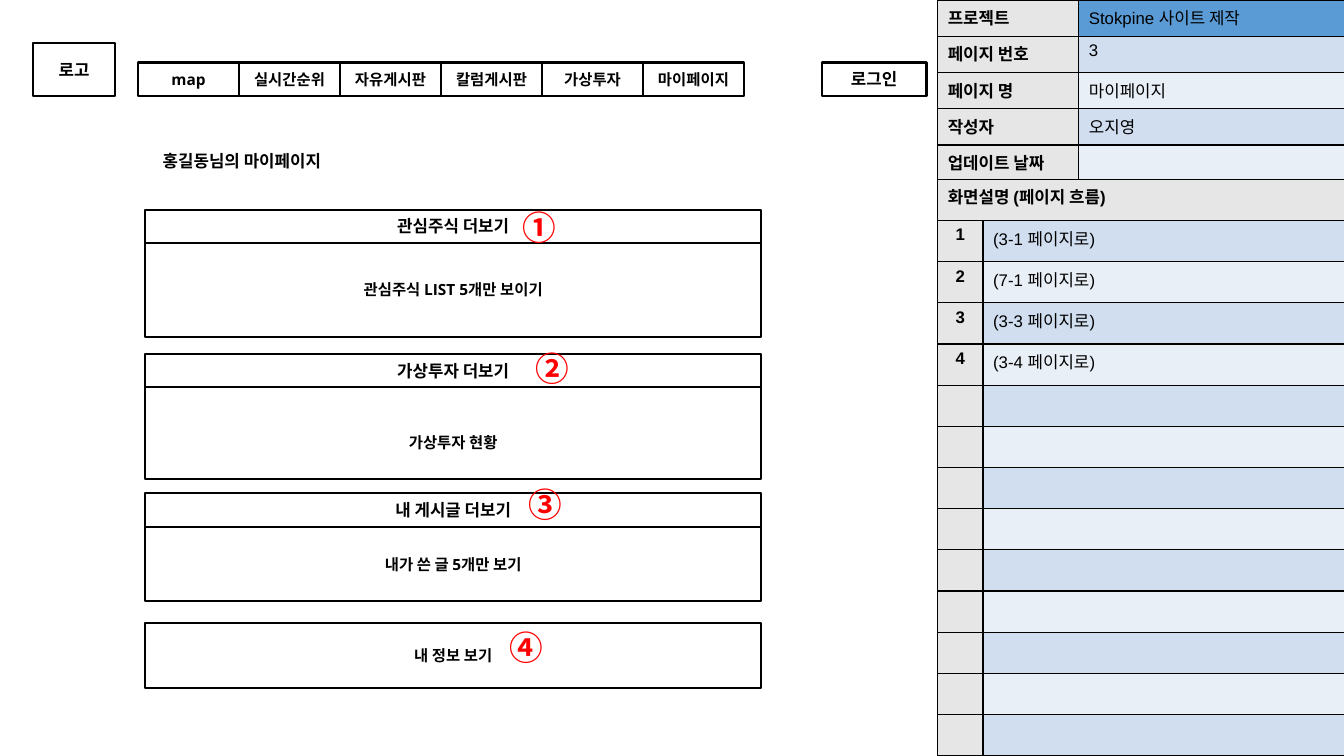
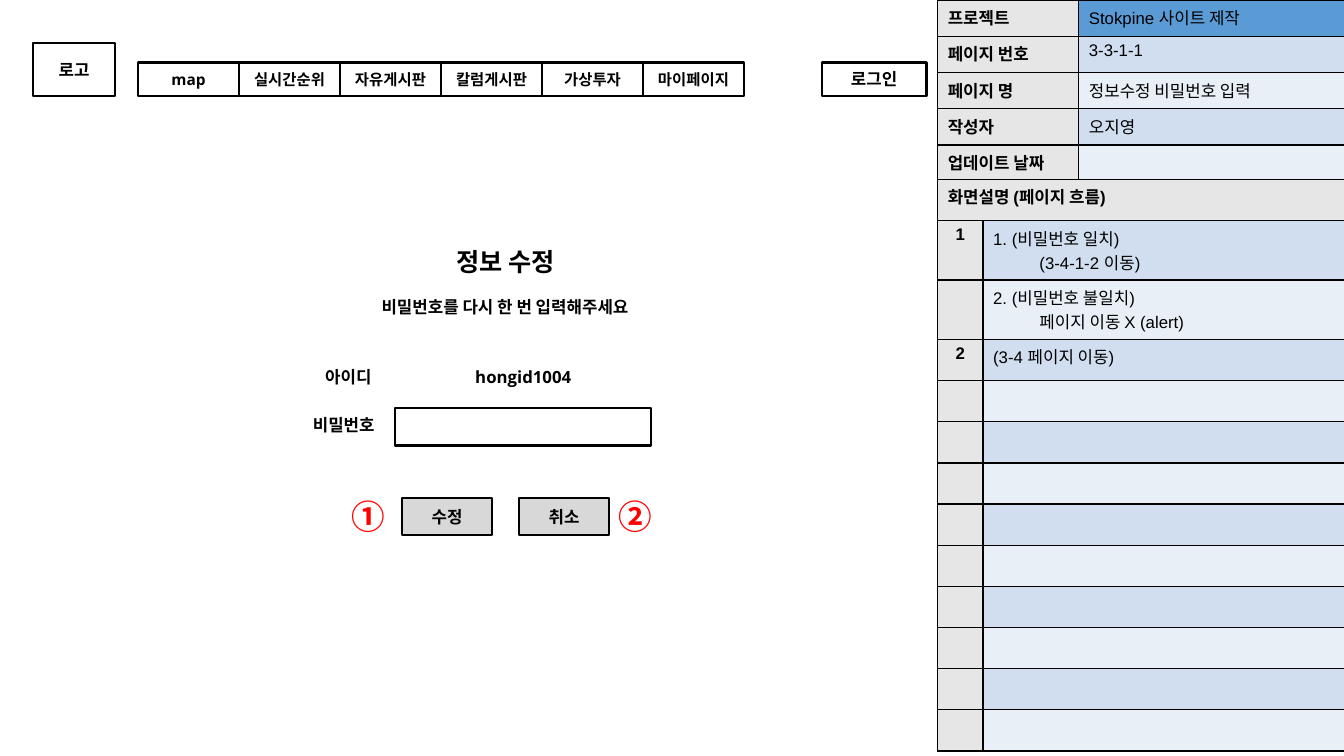
from lxml.etree import SubElement
from pptx import Presentation
from pptx.dml.color import RGBColor
from pptx.enum.shapes import MSO_SHAPE
from pptx.enum.text import MSO_ANCHOR, MSO_AUTO_SIZE, PP_ALIGN
from pptx.oxml.ns import qn
from pptx.util import Inches, Pt

COLORS = {
    "ink": "000000",
    "marker": "FF0000",
    "button": "D8D8D8",
    "label": "E7E6E6",
    "project": "5B9BD5",
    "band_dark": "D0DEEF",
    "band_light": "E9EFF7",
}
WIREFRAME_FONT = "Open Sans"
TABLE_FONT = "Arial"
KOREAN_FONT = "Noto Sans CJK KR"

MENU = ["map", "실시간순위", "자유게시판", "칼럼게시판", "가상투자", "마이페이지"]
MENU_LEFT, MENU_TOP, MENU_WIDTH, MENU_HEIGHT = 1.37, 0.62, 6.01, 0.33

PANEL_LEFT = 9.3
INFO_COLUMNS = (1.4, 2.64)
INFO_ROW_HEIGHT = 0.36
FLOW_TOP = 1.78
FLOW_COLUMNS = (0.45, 3.59)
FLOW_ROW_HEIGHT = 5.72 / 14
FLOW_TWO_LINE_HEIGHT = 0.59
DETAIL_INDENT = 0.46

SECTION_LEFT, SECTION_WIDTH = 1.44, 6.11


def rgb(name):
    return RGBColor.from_string(COLORS[name])


def style_paragraph(paragraph, size, font=WIREFRAME_FONT, color="ink", bold=True,
                    align=PP_ALIGN.LEFT):
    paragraph.alignment = align
    for run in paragraph.runs:
        run.font.size = Pt(size)
        run.font.name = font
        run.font.bold = bold
        run.font.color.rgb = rgb(color)
        SubElement(run.font._element, qn("a:ea"), typeface=KOREAN_FONT)


def fill_text(shape, text, size=12, top_inset=0.1):
    """Centre one bold line of text in a shape, with even insets."""
    frame = shape.text_frame
    frame.text = text
    frame.word_wrap = True
    frame.auto_size = MSO_AUTO_SIZE.NONE
    frame.vertical_anchor = MSO_ANCHOR.MIDDLE
    frame.margin_left = frame.margin_right = frame.margin_bottom = Inches(0.1)
    frame.margin_top = Inches(top_inset)
    style_paragraph(frame.paragraphs[0], size, align=PP_ALIGN.CENTER)


def add_box(slide, left, top, width, height, text="", size=12, fill=None, top_inset=0.1):
    box = slide.shapes.add_shape(MSO_SHAPE.RECTANGLE, Inches(left), Inches(top),
                                 Inches(width), Inches(height))
    box.shadow.inherit = False
    if fill:
        box.fill.solid()
        box.fill.fore_color.rgb = rgb(fill)
    else:
        box.fill.background()
    box.line.color.rgb = rgb("ink")
    box.line.width = Pt(1.5)
    if text:
        fill_text(box, text, size, top_inset)


def add_label(slide, left, top, width, text):
    label = slide.shapes.add_textbox(Inches(left), Inches(top), Inches(width), Inches(0.37))
    fill_text(label, text)


def add_marker(slide, left, top, symbol):
    marker = slide.shapes.add_textbox(Inches(left), Inches(top), Inches(0.6), Inches(0.5))
    frame = marker.text_frame
    frame.word_wrap = True
    frame.text = symbol
    style_paragraph(frame.paragraphs[0], 24, font=KOREAN_FONT, color="marker")


def set_title(slide, left, top, width, text, size):
    title = slide.shapes.title
    title.left, title.top = Inches(left), Inches(top)
    title.width, title.height = Inches(width), Inches(0.37)
    fill_text(title, text, size)


def add_section(slide, top, heading_height, body_height, heading, body, top_inset=0.1):
    add_box(slide, SECTION_LEFT, top, SECTION_WIDTH, heading_height, heading)
    add_box(slide, SECTION_LEFT, top + heading_height, SECTION_WIDTH, body_height, body,
            size=11, top_inset=top_inset)


def add_borders(cell):
    properties = cell._tc.get_or_add_tcPr()
    for side in ("lnL", "lnR", "lnT", "lnB"):
        line = SubElement(properties, qn(f"a:{side}"), w=str(Pt(1)))
        solid = SubElement(line, qn("a:solidFill"))
        SubElement(solid, qn("a:srgbClr"), val=COLORS["ink"])


def format_cell(cell, text, fill, bold, align=PP_ALIGN.LEFT):
    """Fill a cell; lines after the first are indented details."""
    add_borders(cell)
    cell.fill.solid()
    cell.fill.fore_color.rgb = rgb(fill)
    cell.text_frame.text = text
    for index, paragraph in enumerate(cell.text_frame.paragraphs):
        style_paragraph(paragraph, 12, TABLE_FONT, bold=bold, align=align)
        if index:
            paragraph._p.get_or_add_pPr().set("marL", str(Inches(DETAIL_INDENT)))
        if not paragraph.runs:
            paragraph._p.get_or_add_endParaRPr().set("sz", "1200")


def add_panel_table(slide, top, columns, heights, rows, first_fill,
                    label_align=PP_ALIGN.LEFT):
    """Add a label and value table whose values are banded below the first row."""
    frame = slide.shapes.add_table(len(rows), len(columns), Inches(PANEL_LEFT), Inches(top),
                                   Inches(sum(columns)), Inches(sum(heights)))
    table = frame.table
    table.first_row = table.horz_banding = False
    for column, width in zip(table.columns, columns):
        column.width = Inches(width)
    for index, (height, (label, value)) in enumerate(zip(heights, rows)):
        table.rows[index].height = Inches(height)
        band = "band_dark" if index % 2 else "band_light"
        align = label_align if index else PP_ALIGN.LEFT
        format_cell(table.cell(index, 0), label, "label", True, align)
        format_cell(table.cell(index, 1), value, band if index else first_fill, False)
    return table


def add_info_table(slide, page_number, page_name):
    rows = [
        ("프로젝트", "Stokpine 사이트 제작"),
        ("페이지 번호", page_number),
        ("페이지 명", page_name),
        ("작성자", "오지영"),
        ("업데이트 날짜", ""),
    ]
    add_panel_table(slide, 0, INFO_COLUMNS, [INFO_ROW_HEIGHT] * len(rows), rows, "project")


def add_flow_table(slide, steps, row_count):
    rows = [("화면설명 (페이지 흐름)", "")] + steps
    rows += [("", "")] * (row_count - len(rows))
    heights = [FLOW_TWO_LINE_HEIGHT if "\n" in value else FLOW_ROW_HEIGHT
               for _, value in rows]
    table = add_panel_table(slide, FLOW_TOP, FLOW_COLUMNS, heights, rows, "label",
                            PP_ALIGN.CENTER)
    table.cell(0, 0).merge(table.cell(0, 1))


def add_site_header(slide):
    add_box(slide, 0.33, 0.43, 0.81, 0.52, "로고")
    add_box(slide, 8.15, MENU_TOP, 1.04, MENU_HEIGHT, "로그인")
    tab_width = MENU_WIDTH / len(MENU)
    for index, name in enumerate(MENU):
        add_box(slide, MENU_LEFT + index * tab_width, MENU_TOP, tab_width, MENU_HEIGHT,
                name, size=11)


def add_page(presentation, page_number, page_name, steps, row_count):
    """Add a slide with the site header and the description panel."""
    slide = presentation.slides.add_slide(presentation.slide_layouts[5])
    add_info_table(slide, page_number, page_name)
    add_flow_table(slide, steps, row_count)
    add_site_header(slide)
    return slide


def build_my_page(presentation):
    steps = [("1", "(3-1 페이지로)"), ("2", "(7-1 페이지로)"),
             ("3", "(3-3 페이지로)"), ("4", "(3-4 페이지로)")]
    slide = add_page(presentation, "3", "마이페이지", steps, 14)
    set_title(slide, 0.73, 1.41, 3.34, "홍길동님의 마이페이지", 12)
    add_section(slide, 2.08, 0.33, 0.93, "관심주식 더보기", "관심주식 LIST 5개만 보이기")
    add_section(slide, 3.51, 0.33, 0.91, "가상투자 더보기", "가상투자 현황", top_inset=0.28)
    add_section(slide, 4.89, 0.34, 0.73, "내 게시글 더보기", "내가 쓴 글 5개만 보기")
    add_box(slide, SECTION_LEFT, 6.18, SECTION_WIDTH, 0.65, "내 정보 보기", size=11)
    for left, top, symbol in [(5.08, 2, "①"), (5.21, 3.4, "②"),
                              (5.14, 4.75, "③"), (4.96, 6.17, "④")]:
        add_marker(slide, left, top, symbol)


def build_password_page(presentation):
    steps = [("1", "1. (비밀번호 일치)\n(3-4-1-2 이동)"),
             ("", "2. (비밀번호 불일치)\n페이지 이동 X (alert)"),
             ("2", "(3-4 페이지 이동)")]
    slide = add_page(presentation, "3-3-1-1", "정보수정 비밀번호 입력", steps, 13)
    set_title(slide, 4.11, 2.41, 1.81, "정보 수정", 18)
    add_label(slide, 2.89, 2.86, 4.24, "비밀번호를 다시 한 번 입력해주세요")
    add_label(slide, 3.04, 3.55, 0.83, "아이디")
    add_label(slide, 3.92, 3.55, 2.54, "hongid1004")
    add_label(slide, 2.89, 4.03, 1.04, "비밀번호")
    add_box(slide, 3.92, 4.05, 2.54, 0.37)
    for left, text in [(3.99, "수정"), (5.15, "취소")]:
        add_box(slide, left, 4.94, 0.89, 0.37, text, fill="button")
    for left, symbol in [(3.39, "①"), (6.04, "②")]:
        add_marker(slide, left, 4.87, symbol)


def main():
    presentation = Presentation()
    presentation.slide_width = Inches(13.33)
    presentation.slide_height = Inches(7.5)
    build_my_page(presentation)
    build_password_page(presentation)
    presentation.save("out.pptx")


if __name__ == "__main__":
    main()
